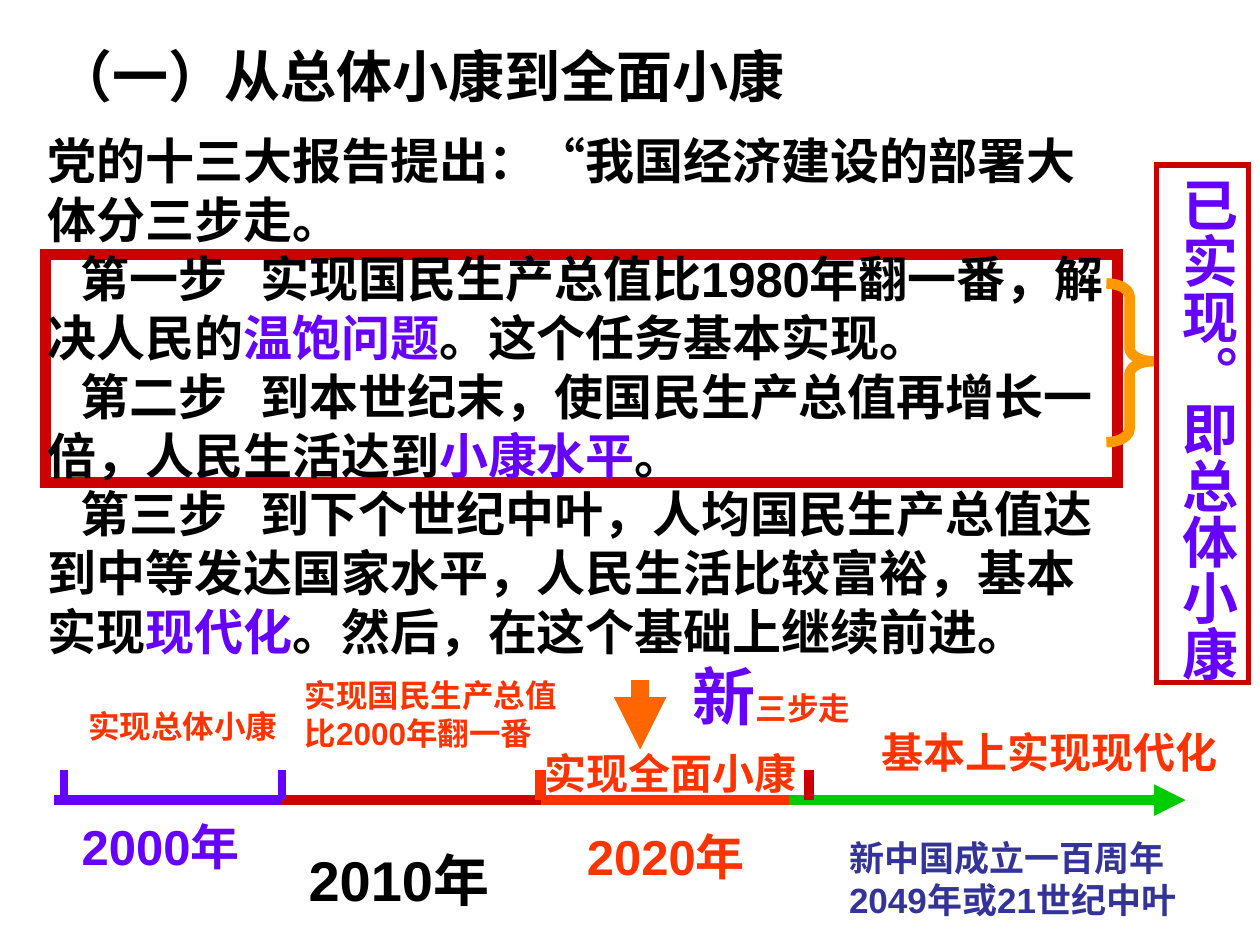
from dataclasses import dataclass
from lxml import etree
from pptx import Presentation
from pptx.dml.color import RGBColor
from pptx.enum.shapes import MSO_CONNECTOR as Connector, MSO_SHAPE as Shape
from pptx.enum.text import MSO_ANCHOR as Anchor, MSO_AUTO_SIZE as AutoSize, PP_ALIGN as Align
from pptx.oxml.ns import qn
from pptx.util import Pt


@dataclass(frozen=True)
class Theme:
    font: str = "Arial"
    black: str = "000000"
    white: str = "FFFFFF"
    violet: str = "6600FF"
    crimson: str = "CC0000"
    red: str = "FF3300"
    orange: str = "FF6600"
    amber: str = "FF9900"
    green: str = "00CC00"
    navy: str = "333399"
    hero: int = 36
    title: int = 32
    body: int = 28
    goal: int = 24
    note: int = 20
    small: int = 18


theme = Theme()


def write(shape, paragraphs, wrap=False):
    """Fill a shape with paragraphs, each a list of (text, size, colour) runs."""
    frame = shape.text_frame
    frame.word_wrap = wrap
    frame.auto_size = AutoSize.SHAPE_TO_FIT_TEXT
    frame.vertical_anchor = Anchor.TOP
    for index, spans in enumerate(paragraphs):
        para = frame.add_paragraph() if index else frame.paragraphs[0]
        para.alignment = Align.LEFT
        for text, size, colour in spans:
            span = para.add_run()
            span.text = text
            span.font.name = theme.font
            span.font.size = Pt(size)
            span.font.bold = True
            span.font.color.rgb = RGBColor.from_string(colour)


def draw_line(x1, y1, x2, y2, colour, width, arrow=False):
    line = page.shapes.add_connector(Connector.STRAIGHT, Pt(x1), Pt(y1), Pt(x2), Pt(y2))
    line.line.color.rgb = RGBColor.from_string(colour)
    line.line.width = Pt(width)
    if arrow:
        etree.SubElement(line.line._get_or_add_ln(), qn("a:tailEnd"), type="triangle")
    etree.SubElement(line._element.spPr, qn("a:effectLst"))


deck = Presentation()
deck.slide_width, deck.slide_height = Pt(720), Pt(540)
page = deck.slides.add_slide(deck.slide_layouts[5])

# Title
title = page.shapes.title
title.left, title.top, title.width, title.height = Pt(25.2), Pt(20.2), Pt(436), Pt(46)
write(title, [[("（一）从总体小康到全面小康", theme.title, theme.black)]])

# Frame round the first two steps, brace, and frame of the verdict
outlines = {}
for name, kind, left, top, width, height, colour, weight in [
    ("steps", Shape.RECTANGLE, 25.9, 145.4, 612.7, 130.3, theme.crimson, 6),
    ("brace", Shape.RIGHT_BRACE, 632.2, 162, 26.5, 90.7, theme.amber, 6),
    ("verdict", Shape.RECTANGLE, 661, 94.3, 52.6, 295.9, theme.crimson, 3),
]:
    outline = page.shapes.add_shape(kind, Pt(left), Pt(top), Pt(width), Pt(height))
    outline.shadow.inherit = False
    outline.fill.background()
    outline.line.color.rgb = RGBColor.from_string(colour)
    outline.line.width = Pt(weight)
    if kind == Shape.RECTANGLE:
        etree.SubElement(outline.line._get_or_add_ln(), qn("a:miter"), lim="800000")
    outlines[name] = outline
outlines["steps"].fill.solid()
outlines["steps"].fill.fore_color.rgb = RGBColor.from_string(theme.white)
outlines["brace"].adjustments[0] = 0.28
outlines["brace"].adjustments[1] = 0.49

# Vertical verdict
verdict = outlines["verdict"]
write(verdict, [[("已实现。即总体小康", theme.title, theme.violet)]])
frame = verdict.text_frame
frame.margin_left = frame.margin_right = Pt(3.6)
frame.margin_top = frame.margin_bottom = Pt(3.6)
frame._txBody.bodyPr.set("vert", "eaVert")

# The three steps: opening line, then (step, text, key phrase, ending)
steps = [
    ("第一步", "实现国民生产总值比1980年翻一番，解决人民的", "温饱问题", "。这个任务基本实现。"),
    ("第二步", "到本世纪末，使国民生产总值再增长一倍，人民生活达到", "小康水平", "。"),
    ("第三步", "到下个世纪中叶，人均国民生产总值达到中等发达国家水平，人民生活比较富裕，基本实现",
     "现代化", "。然后，在这个基础上继续前进。"),
]
report = [[("党的十三大报告提出：“我国经济建设的部署大体分三步走。", theme.body, theme.black)]]
for step, text, phrase, ending in steps:
    report.append([
        (step, theme.body, theme.black),
        (" ", theme.body, theme.black),
        (text, theme.body, theme.black),
        (phrase, theme.body, theme.violet),
        (ending, theme.body, theme.black),
    ])
box = page.shapes.add_textbox(Pt(20.2), Pt(71.3), Pt(623.5), Pt(310.3))
write(box, report, wrap=True)
for para in box.text_frame.paragraphs[1:]:
    properties = para._p.get_or_add_pPr()
    properties.set("marL", "0")
    properties.set("indent", str(Pt(19)))
    # Letter spacing widens the one space after the step name by 12.5 points
    para.runs[1].font._element.set("spc", "1250")

# Down arrow to the new goal
draw_line(365.8, 388.8, 365.8, 428.4, theme.orange, 10, arrow=True)

# Timeline: segments on the axis, with upright ticks
axis, tick_top = 457.2, 440
for start, end, colour in [
    (31, 167, theme.violet),
    (161.3, 308.9, theme.crimson),
    (308.9, 462.2, theme.red),
    (450.7, 677.5, theme.green),
]:
    draw_line(start, axis, end, axis, colour, 6, arrow=colour == theme.green)
for x, colour, weight in [
    (36.7, theme.violet, 4.5),
    (161.3, theme.violet, 4.5),
    (308.9, theme.red, 6),
    (462.2, theme.crimson, 6),
]:
    draw_line(x, tick_top, x, axis, colour, weight)

# Timeline labels: left, top, width, height, wrap, paragraphs
labels = [
    (388.8, 372.2, 108, 50.4, False,
     [[("新", theme.hero, theme.violet), ("三步走", theme.small, theme.red)]]),
    (39.6, 463, 118, 41, False, [[("2000年", theme.body, theme.violet)]]),
    (169.2, 479.5, 132, 46, False, [[("2010年", theme.title, theme.black)]]),
    (328.3, 468.7, 118, 41, False, [[("2020年", theme.body, theme.red)]]),
    (303.8, 423.4, 162, 36, False, [[("实现全面小康", theme.goal, theme.red)]]),
    (43.2, 400.3, 126, 28.8, False, [[("实现总体小康", theme.small, theme.red)]]),
    (167, 383, 169.9, 50.4, True,
     [[("实现国民生产总值比2000年翻一番", theme.small, theme.red)]]),
    (478.1, 474.5, 222, 55.4, False,
     [[("新中国成立一百周年", theme.note, theme.navy)],
      [("2049年或21世纪中叶", theme.note, theme.navy)]]),
    (496.8, 411.8, 212, 36, False, [[("基本上实现现代化", theme.goal, theme.red)]]),
]
for left, top, width, height, wrap, paragraphs in labels:
    label = page.shapes.add_textbox(Pt(left), Pt(top), Pt(width), Pt(height))
    write(label, paragraphs, wrap)

deck.save("out.pptx")
